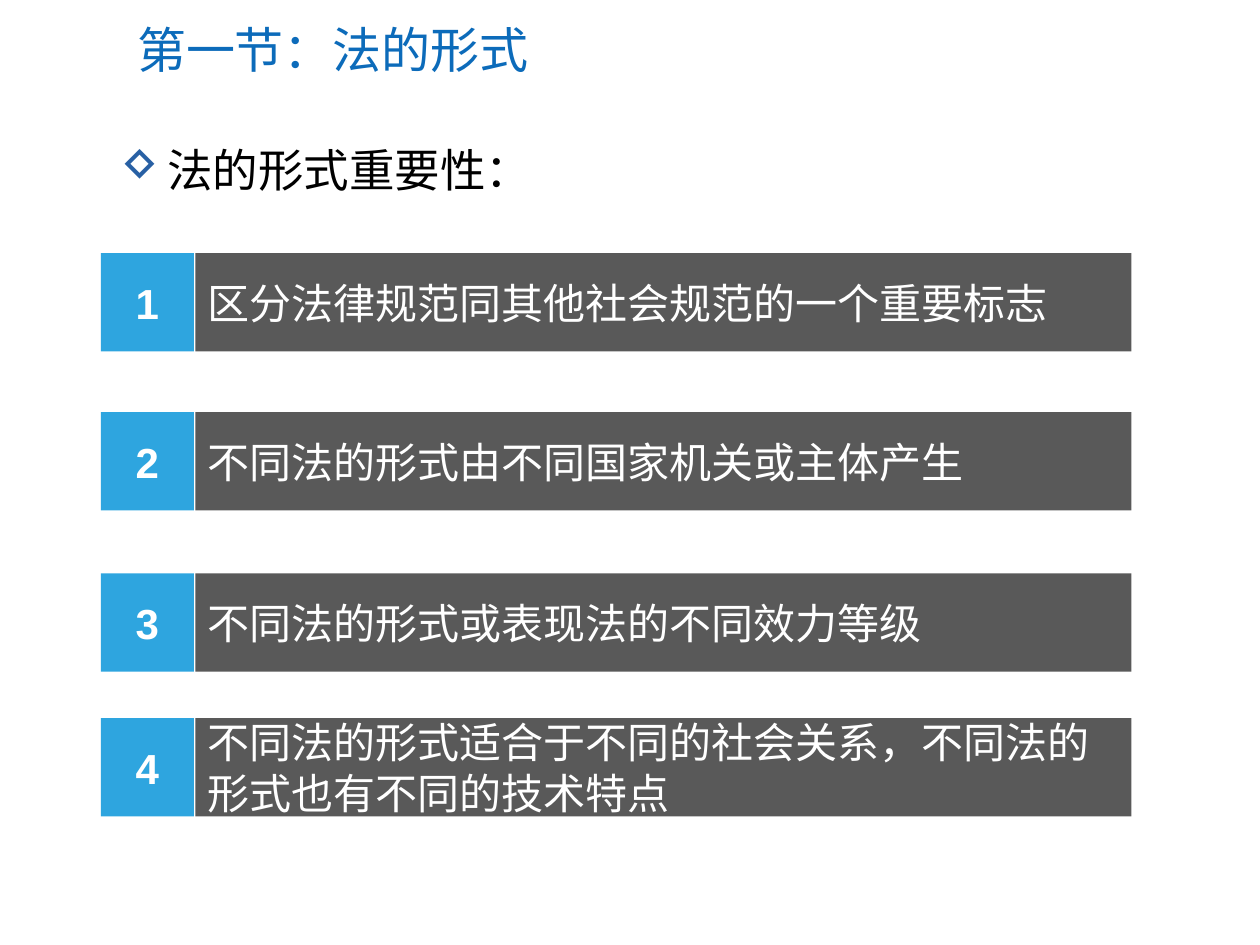
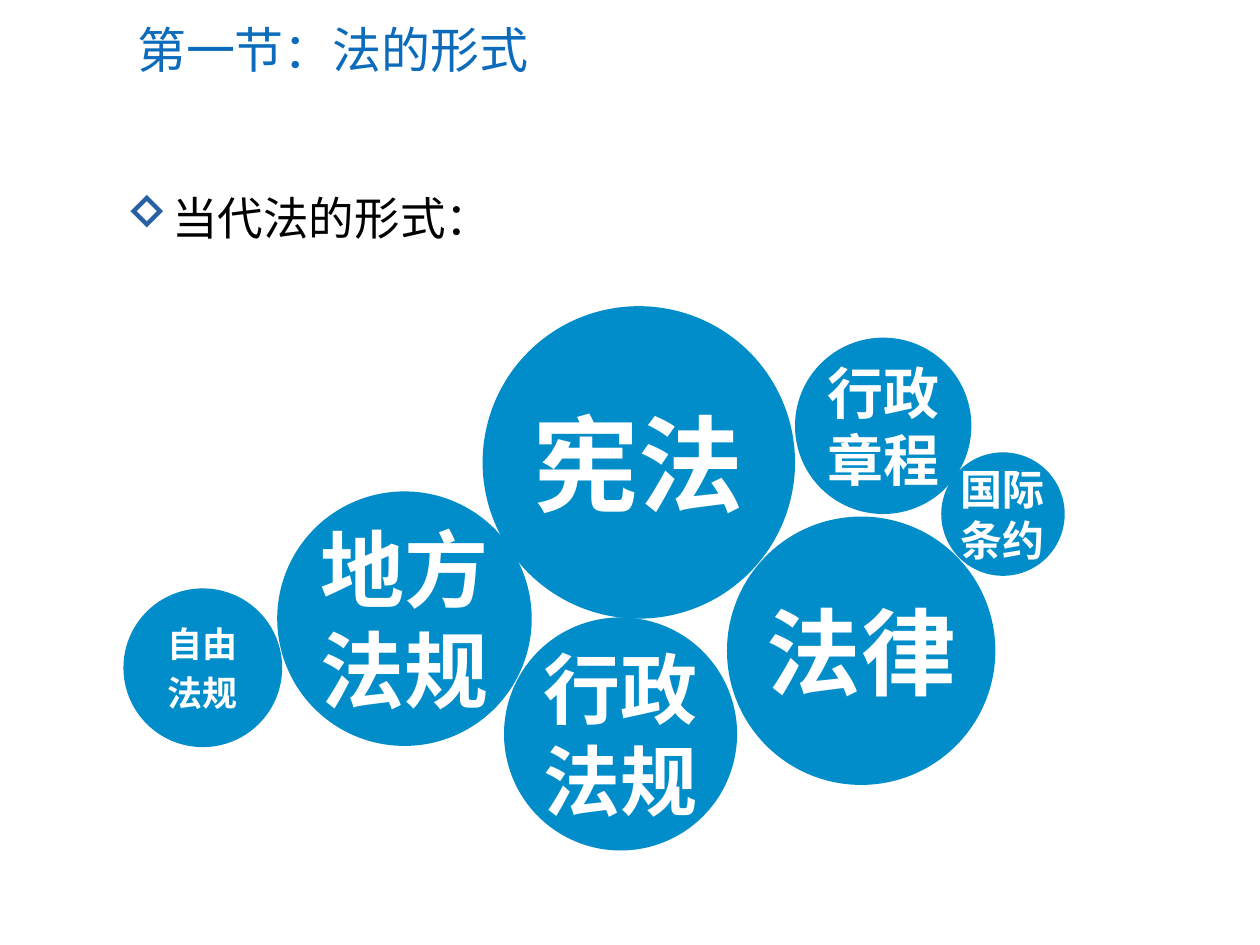
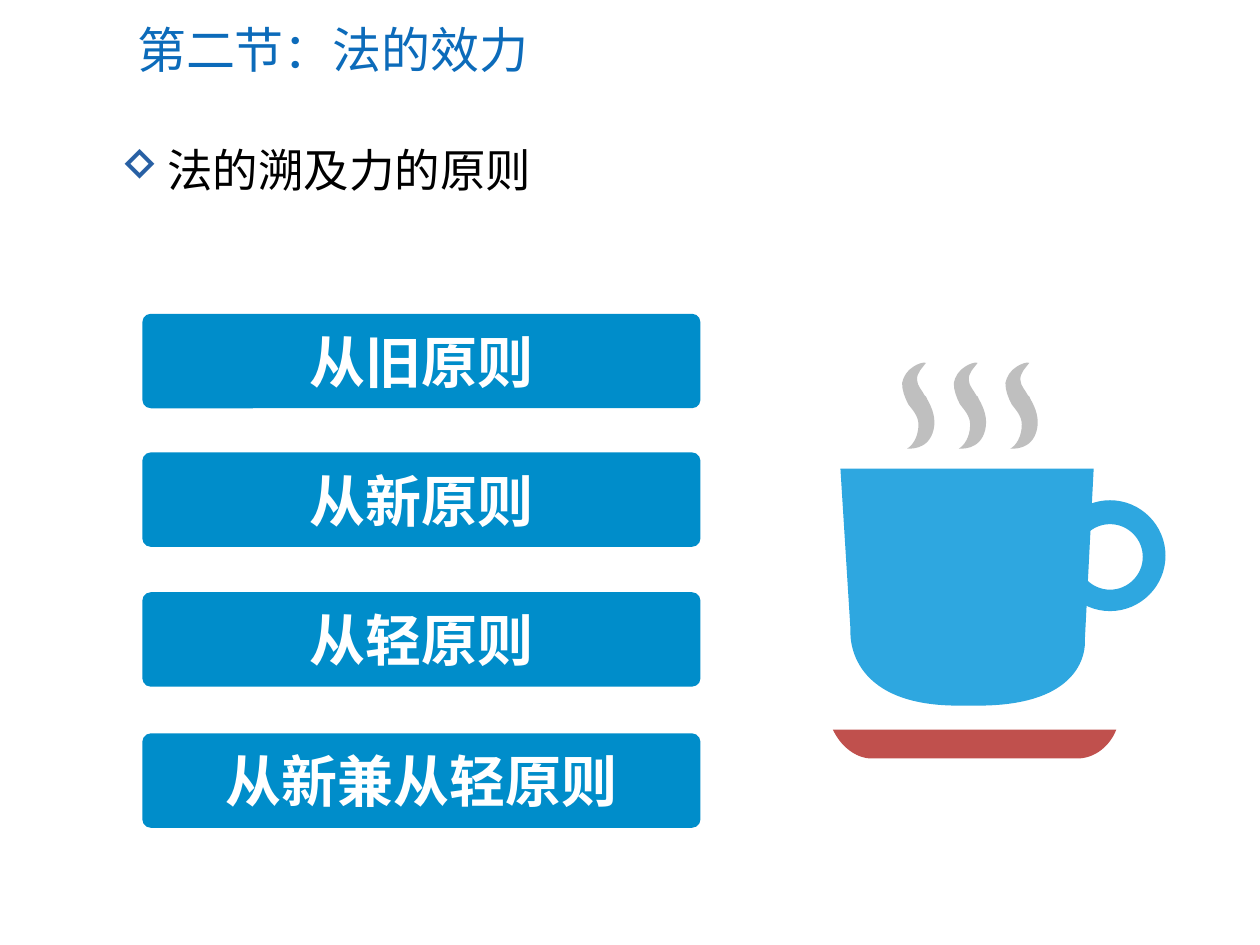
from dataclasses import dataclass
from typing import NamedTuple

from lxml.etree import SubElement
from pptx import Presentation
from pptx.dml.color import RGBColor
from pptx.enum.shapes import MSO_SHAPE
from pptx.enum.text import MSO_ANCHOR, PP_ALIGN
from pptx.oxml.ns import qn
from pptx.shapes.autoshape import Shape
from pptx.slide import Slide
from pptx.text.text import TextFrame
from pptx.util import Inches, Pt

TITLE_BLUE = "0C6BBA"
BULLET_BLUE = "2860A4"
BRIGHT_BLUE = "2EA5DF"
DEEP_BLUE = "008DCA"
CUP_BLUE = "2EA7E0"
DARK_GRAY = "595959"
STEAM_GRAY = "BFBFBF"
SAUCER_RED = "C0504D"
WHITE = "FFFFFF"
BLACK = "000000"
CHINESE_FONT = "Noto Sans CJK SC"
BULLET_FONT = "Wingdings"
CIRCLE_RATIO = 0.55

Point = tuple[float, float]


class Box(NamedTuple):
    """Position and size in inches."""

    left: float
    top: float
    width: float
    height: float

    def lengths(self) -> list[int]:
        """Return the four measures as lengths."""
        return [Inches(value) for value in self]


@dataclass(frozen=True)
class TextStyle:
    """Look of the text in one shape."""

    size: float
    color: str = WHITE
    font: str = "Calibri"
    bold: bool = False
    align: PP_ALIGN = PP_ALIGN.LEFT
    space_ratio: float = 0.2


class Bubble(NamedTuple):
    """A circle with a label."""

    label: str
    left: float
    top: float
    diameter: float
    size: float


class Bar(NamedTuple):
    """A labelled bar at a given height on the slide."""

    label: str
    top: float


class Contour(NamedTuple):
    """A closed path whose segments are lines (one point) or curves (three points)."""

    start: Point
    segments: tuple[tuple[Point, ...], ...]


def circle(x: float, y: float, radius: float) -> Contour:
    """Return a circle made of four curves."""
    handle = radius * CIRCLE_RATIO
    top, right, bottom, left = (x, y - radius), (x + radius, y), (x, y + radius), (x - radius, y)
    return Contour(top, (
        ((x + handle, y - radius), (x + radius, y - handle), right),
        ((x + radius, y + handle), (x + handle, y + radius), bottom),
        ((x - handle, y + radius), (x - radius, y + handle), left),
        ((x - radius, y - handle), (x - handle, y - radius), top),
    ))


TITLE_STYLE = TextStyle(28, TITLE_BLUE, space_ratio=0)
HEADING_STYLE = TextStyle(26, BLACK)
NUMBER_STYLE = TextStyle(24, font="Arial", bold=True, align=PP_ALIGN.CENTER)
REASON_STYLE = TextStyle(24)
PRINCIPLE_STYLE = TextStyle(32, bold=True, align=PP_ALIGN.CENTER)

TITLE_BOX = Box(0.99, 0.1, 8.72, 0.58)
HEADING_BOX = Box(0.85, 1.08, 9, 0.61)

REASONS = [
    Bar("区分法律规范同其他社会规范的一个重要标志", 2.01),
    Bar("不同法的形式由不同国家机关或主体产生", 3.27),
    Bar("不同法的形式或表现法的不同效力等级", 4.55),
    Bar("不同法的形式适合于不同的社会关系，不同法的形式也有不同的技术特点", 5.7),
]

LAW_FORMS = [
    Bubble("宪法", 3.83, 2.43, 2.48, 60),
    Bubble("法律", 5.77, 4.1, 2.13, 54),
    Bubble("行政法规", 4, 4.9, 1.85, 44),
    Bubble("地方法规", 2.2, 3.9, 2.02, 48),
    Bubble("行政章程", 6.31, 2.68, 1.4, 32),
    Bubble("自由\n法规", 0.98, 4.67, 1.26, 20),
    Bubble("国际条约", 7.47, 3.59, 0.98, 24),
]

PRINCIPLES = [
    Bar("从旧原则", 2.49),
    Bar("从新原则", 3.59),
    Bar("从轻原则", 4.7),
    Bar("从新兼从轻原则", 5.82),
]

STEAM = Contour((7.34, 3.14), (
    ((7.32, 3.1), (7.28, 3.06), (7.28, 3.02)),
    ((7.27, 2.96), (7.33, 2.91), (7.35, 2.88)),
    ((7.33, 2.87), (7.28, 2.89), (7.25, 2.91)),
    ((7.2, 2.94), (7.17, 2.99), (7.16, 3.04)),
    ((7.16, 3.1), (7.18, 3.15), (7.21, 3.21)),
    ((7.24, 3.25), (7.29, 3.3), (7.29, 3.37)),
    ((7.29, 3.47), (7.24, 3.54), (7.2, 3.56)),
    ((7.21, 3.56), (7.37, 3.58), (7.41, 3.41)),
    ((7.43, 3.32), (7.4, 3.24), (7.36, 3.17)),
    ((7.35, 3.15), (7.35, 3.14), (7.34, 3.14)),
))
SAUCER = Contour((6.61, 5.79), (
    ((6.67, 5.92), (6.79, 6.02), (6.92, 6.02)),
    ((8.55, 6.02),),
    ((8.69, 6.02), (8.81, 5.92), (8.86, 5.79)),
))
CUP = Contour((6.67, 3.72), (
    ((6.75, 5),),
    ((6.75, 5), (6.69, 5.62), (7.65, 5.6)),
    ((7.71, 5.6),),
    ((8.67, 5.62), (8.61, 5.08), (8.61, 5.08)),
    ((8.68, 3.72),),
))
HANDLE = (circle(8.81, 4.41, 0.44), circle(8.81, 4.42, 0.26))
STEAM_PITCH = 0.41


def rgb(color: str) -> RGBColor:
    """Turn a hex string into a colour."""
    return RGBColor.from_string(color)


def write_text(text_frame: TextFrame, text: str, style: TextStyle) -> None:
    """Set the text of a frame and format its paragraphs and runs."""
    text_frame.text = text
    text_frame.word_wrap = True
    for paragraph in text_frame.paragraphs:
        paragraph.alignment = style.align
        paragraph.space_before = Pt(style.size * style.space_ratio)
        for run in paragraph.runs:
            run.font.size = Pt(style.size)
            run.font.bold = style.bold
            run.font.name = style.font
            run.font.color.rgb = rgb(style.color)
            SubElement(run.font._element, qn("a:ea"), typeface=CHINESE_FONT)


def paint(shape: Shape, color: str) -> None:
    """Give a shape a flat fill with no line or shadow."""
    shape.shadow.inherit = False
    shape.fill.solid()
    shape.fill.fore_color.rgb = rgb(color)
    shape.line.fill.background()


def add_label_block(
    slide: Slide, kind: MSO_SHAPE, box: Box, color: str, text: str, style: TextStyle
) -> Shape:
    """Add a flat preset shape with vertically centred text."""
    shape = slide.shapes.add_shape(kind, *box.lengths())
    paint(shape, color)
    write_text(shape.text_frame, text, style)
    shape.text_frame.vertical_anchor = MSO_ANCHOR.MIDDLE
    return shape


def bend_curves(shape: Shape, contours: tuple[Contour, ...]) -> None:
    """Join the three line points of each curved segment into one curve."""
    lines = shape._element.iter(qn("a:lnTo"))
    remaining = iter(list(lines))
    for contour in contours:
        for segment in contour.segments:
            nodes = [next(remaining) for _ in segment]
            if len(nodes) == 3:
                parent = nodes[0].getparent()
                curve = SubElement(parent, qn("a:cubicBezTo"))
                parent.replace(nodes[0], curve)
                for node in nodes:
                    curve.append(node[0])
                for node in nodes[1:]:
                    parent.remove(node)


def add_outline(slide: Slide, color: str, *contours: Contour, shift: float = 0) -> None:
    """Add a filled outline moved to the right by shift."""
    builder = None
    for contour in contours:
        points = [contour.start]
        for segment in contour.segments:
            points.extend(segment)
        start, *others = [(Inches(x + shift), Inches(y)) for x, y in points]
        if builder is None:
            builder = slide.shapes.build_freeform(*start)
        else:
            builder.move_to(*start)
        builder.add_line_segments(others, close=False)
    shape = builder.convert_to_shape()
    bend_curves(shape, contours)
    paint(shape, color)


def add_title(slide: Slide, text: str) -> None:
    """Add the slide title."""
    text_frame = slide.shapes.add_textbox(*TITLE_BOX.lengths()).text_frame
    write_text(text_frame, text, TITLE_STYLE)
    text_frame.vertical_anchor = MSO_ANCHOR.MIDDLE


def add_heading(
    slide: Slide, text: str, box: Box = HEADING_BOX, bullet_percent: int = 100
) -> None:
    """Add the heading with its arrow bullet."""
    text_frame = slide.shapes.add_textbox(*box.lengths()).text_frame
    write_text(text_frame, text, HEADING_STYLE)
    properties = text_frame.paragraphs[0]._p.get_or_add_pPr()
    indent = Inches(0.38)
    properties.set("marL", str(indent))
    properties.set("indent", str(-indent))
    bullet_color = SubElement(properties, qn("a:buClr"))
    SubElement(bullet_color, qn("a:srgbClr"), val=BULLET_BLUE)
    SubElement(properties, qn("a:buSzPct"), val=str(bullet_percent * 1000))
    SubElement(properties, qn("a:buFont"), typeface=BULLET_FONT, charset="2")
    SubElement(properties, qn("a:buChar"), char="➲")


def build_importance(slide: Slide) -> None:
    """Build the numbered reasons."""
    add_title(slide, "第一节：法的形式")
    add_heading(slide, "法的形式重要性：")
    for number, reason in enumerate(REASONS, 1):
        number_box = Box(0.8, reason.top, 0.74, 0.78)
        reason_box = Box(1.55, reason.top, 7.43, 0.78)
        add_label_block(
            slide, MSO_SHAPE.RECTANGLE, number_box, BRIGHT_BLUE, str(number), NUMBER_STYLE
        )
        add_label_block(
            slide, MSO_SHAPE.RECTANGLE, reason_box, DARK_GRAY, reason.label, REASON_STYLE
        )


def build_law_forms(slide: Slide) -> None:
    """Build the cluster of law forms."""
    add_title(slide, "第一节：法的形式")
    for bubble in LAW_FORMS:
        box = Box(bubble.left, bubble.top, bubble.diameter, bubble.diameter)
        style = TextStyle(bubble.size, font=CHINESE_FONT, bold=True, align=PP_ALIGN.CENTER)
        shape = add_label_block(slide, MSO_SHAPE.OVAL, box, DEEP_BLUE, bubble.label, style)
        text_frame = shape.text_frame
        text_frame.margin_left = text_frame.margin_right = 0
        text_frame.margin_top = text_frame.margin_bottom = 0
    add_heading(slide, "当代法的形式：", Box(0.89, 1.46, 6.31, 0.54), 110)


def build_principles(slide: Slide) -> None:
    """Build the principles beside a steaming cup."""
    add_title(slide, "第二节：法的效力")
    for index in range(3):
        add_outline(slide, STEAM_GRAY, STEAM, shift=index * STEAM_PITCH)
    add_outline(slide, SAUCER_RED, SAUCER)
    add_outline(slide, CUP_BLUE, CUP)
    add_outline(slide, CUP_BLUE, *HANDLE)
    for principle in PRINCIPLES:
        box = Box(1.13, principle.top, 4.43, 0.75)
        bar = add_label_block(
            slide, MSO_SHAPE.ROUNDED_RECTANGLE, box, DEEP_BLUE, principle.label, PRINCIPLE_STYLE
        )
        bar.adjustments[0] = 0.09
    add_heading(slide, "法的溯及力的原则")


def main() -> None:
    """Build and save the presentation."""
    presentation = Presentation()
    presentation.slide_width = Inches(10)
    presentation.slide_height = Inches(7.5)
    blank_layout = presentation.slide_layouts[6]
    for build in (build_importance, build_law_forms, build_principles):
        build(presentation.slides.add_slide(blank_layout))
    presentation.save("out.pptx")


if __name__ == "__main__":
    main()
